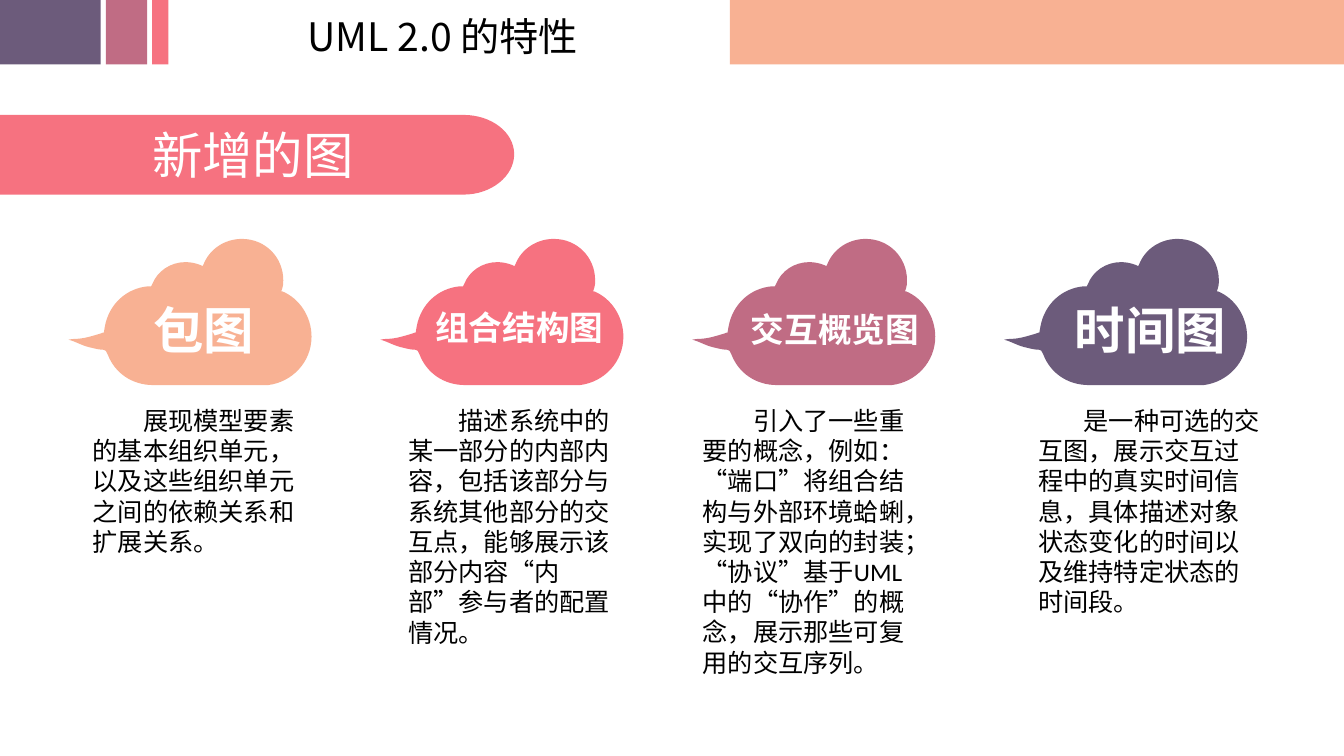
from lxml import etree
from pptx import Presentation
from pptx.dml.color import RGBColor
from pptx.enum.shapes import MSO_SHAPE as Preset
from pptx.enum.text import MSO_AUTO_SIZE as AutoSize
from pptx.oxml.ns import qn
from pptx.util import Inches, Pt

COLORS = {
    "peach": "F8B193", "pink": "F67280", "mauve": "C06C84",
    "plum": "6C5B7B", "white": "FFFFFF", "black": "000000",
}
CJK = "Noto Sans CJK SC"

deck = Presentation()
deck.slide_width, deck.slide_height = Inches(13.33), Inches(7.5)
page = deck.slides.add_slide(deck.slide_layouts[6])


def add_outline(start, segments, color, shift=0, rotation=0):
    """Draw a closed outline; two numbers are a line, six a Bezier curve."""
    corners = [(Inches(x + shift), Inches(y)) for x, y in [start] + [s[-2:] for s in segments]]
    builder = page.shapes.build_freeform(*corners[0], scale=1.0)
    builder.add_line_segments(corners[1:], close=True)
    shape = builder.convert_to_shape()
    # Turn the lines that have control points into curves
    lines = list(shape._element.iter(qn("a:lnTo")))
    for line, segment in zip(lines, segments):
        if len(segment) == 6:
            line.tag = qn("a:cubicBezTo")
            for place, k in enumerate((0, 2)):
                x = Inches(segment[k] + shift) - shape.left
                y = Inches(segment[k + 1]) - shape.top
                line.insert(place, etree.Element(qn("a:pt"), x=str(x), y=str(y)))
    shape.rotation = rotation
    shape.shadow.inherit = False
    shape.fill.solid()
    shape.fill.fore_color.rgb = RGBColor.from_string(COLORS[color])
    shape.line.fill.background()


def add_text(text, left, top, width, height, size, color="black",
             font=CJK, bold=False, wrap=True, indent=0):
    box = page.shapes.add_textbox(Inches(left), Inches(top), Inches(width), Inches(height))
    box.text_frame.word_wrap = wrap
    box.text_frame.auto_size = AutoSize.SHAPE_TO_FIT_TEXT
    para = box.text_frame.paragraphs[0]
    if indent:
        properties = para._p.get_or_add_pPr()
        properties.set("marL", "0")
        properties.set("indent", str(Inches(indent)))
    span = para.add_run()
    span.text = text
    span.font.size, span.font.bold, span.font.name = Pt(size), bold, font
    span.font.color.rgb = RGBColor.from_string(COLORS[color])
    # The East Asian typeface stands after the Latin one
    east_asian = etree.Element(qn("a:ea"), typeface=CJK)
    span._r.rPr.find(qn("a:latin")).addnext(east_asian)


# Header bars
for left, width, color in [(7.24, 6.09, "peach"), (0, 1, "plum"),
                           (1.05, 0.41, "mauve"), (1.51, 0.16, "pink")]:
    bar = page.shapes.add_shape(Preset.RECTANGLE, Inches(left), 0, Inches(width), Inches(0.64))
    bar.shadow.inherit = False
    bar.fill.solid()
    bar.fill.fore_color.rgb = RGBColor.from_string(COLORS[color])
    bar.line.fill.background()

# Cloud outline, upright, as it stands in the first column
CLOUD_PITCH = 3.093
CLOUD_CENTER = (1.885, 3.095)
CLOUD = [
    (2.4, 2.37),
    (2.23, 2.37, 2.08, 2.47, 2.02, 2.62), (2.01, 2.64), (1.99, 2.63),
    (1.94, 2.61, 1.89, 2.6, 1.84, 2.6), (1.69, 2.6, 1.56, 2.69, 1.51, 2.82),
    (1.5, 2.84), (1.47, 2.84), (1.25, 2.86, 1.08, 3.02, 1.04, 3.24),
    (1.03, 3.3), (1.02, 3.3), (1.01, 3.31, 0.98, 3.31, 0.96, 3.32),
    (0.76, 3.38, 0.77, 3.35, 0.68, 3.37), (0.76, 3.39, 0.81, 3.43, 0.91, 3.45),
    (0.95, 3.46, 0.99, 3.47, 1.03, 3.47), (1.05, 3.48), (1.07, 3.52),
    (1.14, 3.7, 1.31, 3.82, 1.52, 3.82), (1.55, 3.82), (2.57, 3.82),
    (2.61, 3.82), (2.64, 3.82), (2.66, 3.82),
    (2.9, 3.79, 3.09, 3.59, 3.09, 3.34), (3.09, 3.14, 2.97, 2.96, 2.8, 2.89),
    (2.79, 2.89), (2.8, 2.86), (2.81, 2.84, 2.81, 2.81, 2.81, 2.78),
    (2.81, 2.55, 2.63, 2.37, 2.4, 2.37),
]
# The cloud is drawn a quarter turn clockwise, and the shape is rotated back
center_x, center_y = CLOUD_CENTER
turned_cloud = []
for segment in CLOUD:
    turned = []
    for x, y in zip(segment[::2], segment[1::2]):
        turned += [center_x + center_y - y, center_y + x - center_x]
    turned_cloud.append(tuple(turned))

# Diagram columns: cloud colour, heading and its place, description and its place
COLUMNS = [
    ("peach", "包图", (1.42, 2.92, 1.2, 0.71), 36,
     "展现模型要素的基本组织单元，以及这些组织单元之间的依赖关系和扩展关系。",
     0.82, 1.61, 0.5),
    ("pink", "组合结构图", (4.22, 3, 1.87, 0.5), 24,
     "描述系统中的某一部分的内部内容，包括该部分与系统其他部分的交互点，"
     "能够展示该部分内容“内部”参与者的配置情况。",
     3.95, 2.22, 0.5),
    ("mauve", "交互概览图", (7.35, 3.02, 1.87, 0.5), 24,
     "引入了一些重要的概念，例如：“端口”将组合结构与外部环境蛤蜊，"
     "实现了双向的封装；“协议”基于UML中的“协作”的概念，展示那些可复用的交互序列。",
     6.87, 2.83, 0.5),
    ("plum", "时间图", (10.56, 2.92, 1.71, 0.71), 36,
     "是一种可选的交互图，展示交互过程中的真实时间信息，"
     "具体描述对象状态变化的时间以及维持特定状态的时间段。",
     10.2, 2.22, 0.45),
]
for index, column in enumerate(COLUMNS):
    add_outline(turned_cloud[0], turned_cloud[1:], column[0], index * CLOUD_PITCH, 270)
for _, _, _, _, body, left, height, indent in COLUMNS:
    add_text(body, left, 3.97, 2.41, height, 18, font="Calibri", indent=indent)
for _, heading, place, size, *_ in COLUMNS:
    add_text(heading, *place, size, "white", bold=True, wrap=False)

# Title
add_text("UML 2.0 的特性", 2.95, 0.07, 3.02, 0.57, 28)

# Section banner with a rounded end
add_outline((4.6, 1.14), [(4.54, 1.14), (0, 1.14), (0, 1.93), (4.54, 1.93), (4.6, 1.93),
                          (4.87, 1.93, 5.1, 1.75, 5.1, 1.53),
                          (5.1, 1.31, 4.87, 1.14, 4.6, 1.14)], "pink")
add_text("新增的图", 1.41, 1.18, 2.27, 0.71, 36, "white")

deck.save("out.pptx")
